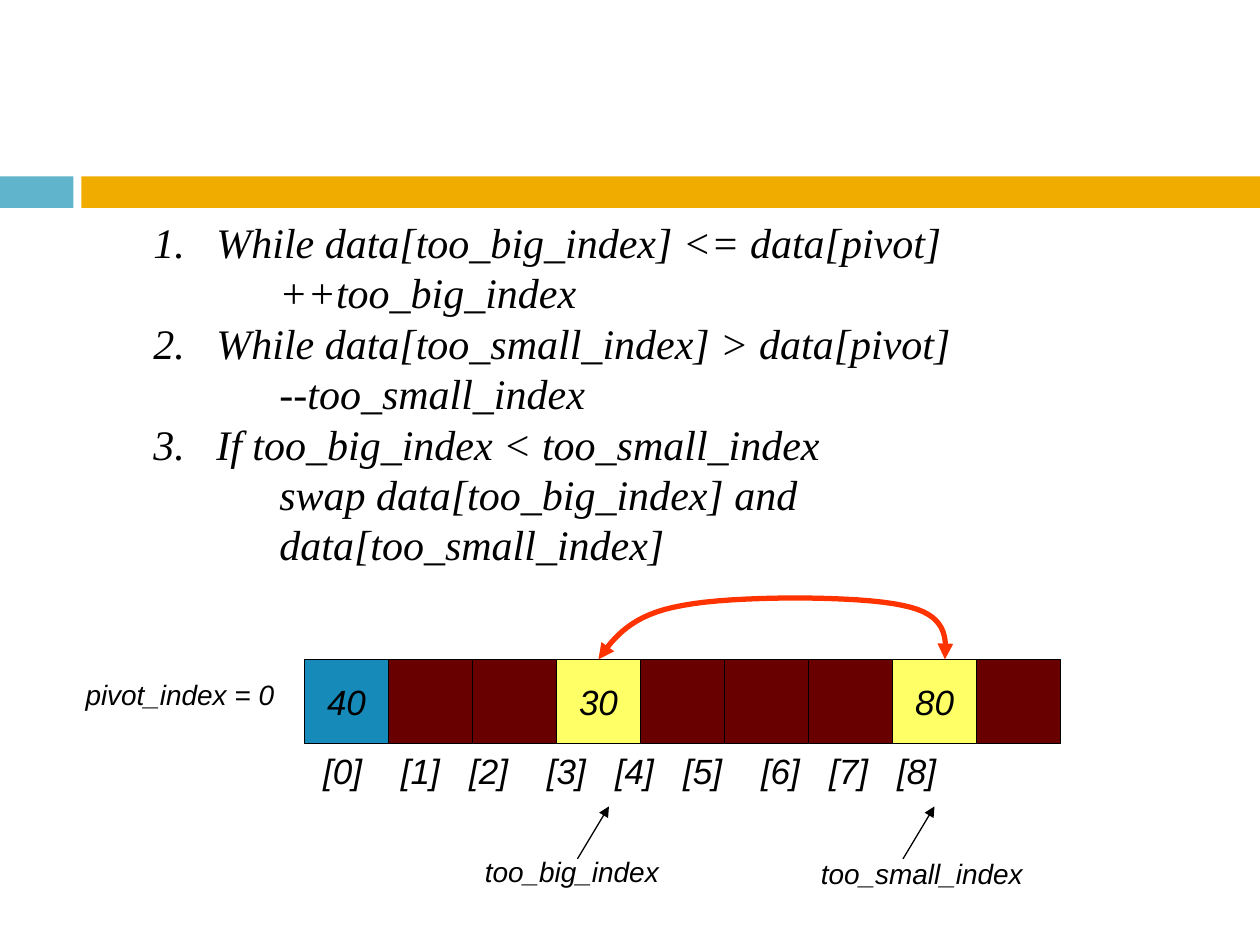
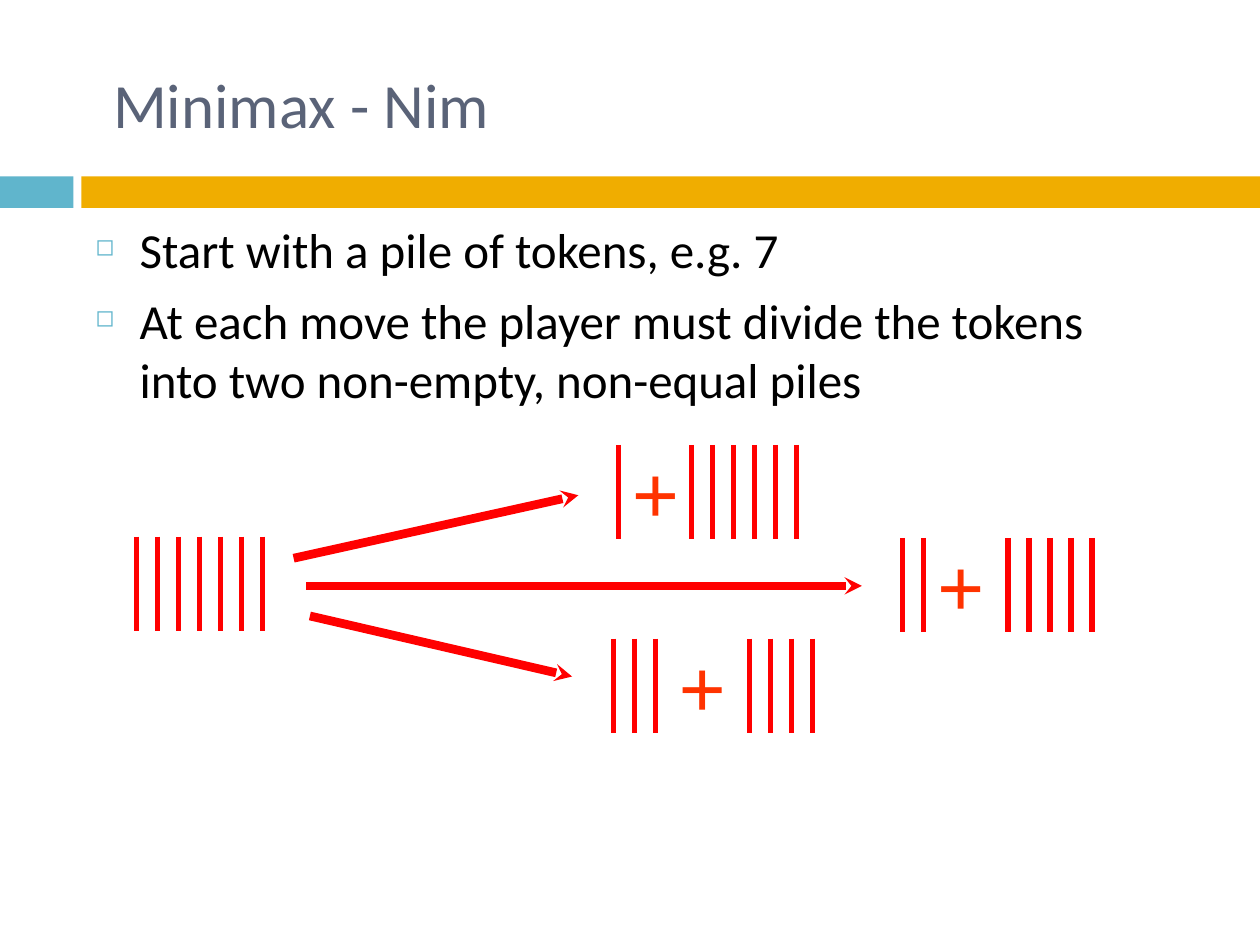
from itertools import accumulate

from lxml.etree import SubElement
from pptx import Presentation
from pptx.dml.color import RGBColor
from pptx.enum.shapes import MSO_CONNECTOR as Connector, MSO_SHAPE as Preset
from pptx.enum.text import MSO_ANCHOR as Anchor, PP_ALIGN as Align
from pptx.oxml.ns import qn
from pptx.util import Pt

BLACK = RGBColor(0x00, 0x00, 0x00)
TEAL = RGBColor(0x60, 0xB5, 0xCC)
GOLD = RGBColor(0xF0, 0xAD, 0x00)
SLATE = RGBColor(0x5A, 0x63, 0x78)
PIVOT_BLUE = RGBColor(0x16, 0x8B, 0xBA)
MAROON = RGBColor(0x68, 0x00, 0x00)
YELLOW = RGBColor(0xFF, 0xFF, 0x66)
RED = RGBColor(0xFF, 0x00, 0x00)
ORANGE_RED = RGBColor(0xFF, 0x33, 0x00)

SANS, SERIF, BODY = "Arial", "Times New Roman", "Calibri"
CELL = 48
BAR_HEIGHT, BAR_GAP = 54, 12


# Shared elements
def add_rectangle(slide, left, top, width, height, color):
    shape = slide.shapes.add_shape(
        Preset.RECTANGLE, Pt(left), Pt(top), Pt(width), Pt(height))
    shape.shadow.inherit = False
    shape.fill.solid()
    shape.fill.fore_color.rgb = color
    shape.line.fill.background()
    return shape


def add_base_slide(presentation):
    slide = presentation.slides.add_slide(presentation.slide_layouts[6])
    add_rectangle(slide, 0, 100.8, 42, 18, TEAL)
    add_rectangle(slide, 46.5, 100.8, 673.5, 18, GOLD)
    return slide


def format_font(paragraph, name, size, color=BLACK, italic=False, bold=False):
    for run in paragraph.runs:
        font = run.font
        font.name, font.size, font.italic, font.bold = name, Pt(size), italic, bold
        font.color.rgb = color


def add_text(slide, left, top, width, height, lines, name, size, **style):
    """Add a wrapping text box, one paragraph per line."""
    box = slide.shapes.add_textbox(Pt(left), Pt(top), Pt(width), Pt(height))
    frame = box.text_frame
    frame.word_wrap = True
    frame.text = "\n".join(lines)
    for paragraph in frame.paragraphs:
        format_font(paragraph, name, size, **style)
    return frame


def set_indent(paragraph, margin, first_line=0):
    properties = paragraph._p.get_or_add_pPr()
    properties.set("marL", str(Pt(margin)))
    properties.set("indent", str(Pt(first_line)))
    return properties


def add_arrowhead(line, end, kind, size="med"):
    SubElement(line._get_or_add_ln(), qn(f"a:{end}"), type=kind, w=size, len=size)


def add_line(slide, start, end, color, width):
    connector = slide.shapes.add_connector(
        Connector.STRAIGHT, *(Pt(value) for value in (*start, *end)))
    connector.line.color.rgb = color
    connector.line.width = Pt(width)
    SubElement(connector._element.spPr, qn("a:effectLst"))
    return connector


# Partition slide
def add_steps(slide, steps):
    lines = [line for step in steps for line in step]
    frame = add_text(slide, 80.6, 120.2, 576, 266, lines, SERIF, 24, italic=True)
    for index, paragraph in enumerate(frame.paragraphs):
        if index % 2:
            paragraph.level = 1
            SubElement(set_indent(paragraph, 72), qn("a:buNone"))
        else:
            SubElement(set_indent(paragraph, 36, -36), qn("a:buAutoNum"),
                       type="arabicPeriod", startAt=str(index // 2 + 1))


def add_array(slide, left, top, count, marked):
    """Draw a row of cells; marked maps an index to its value and fill."""
    for index in range(count):
        value, fill = marked.get(index, (None, MAROON))
        cell = add_rectangle(slide, left + index * CELL, top, CELL, CELL, fill)
        cell.line.color.rgb = BLACK
        cell.line.width = Pt(0.75)
        if value is not None:
            frame = cell.text_frame
            frame.word_wrap = False
            frame.vertical_anchor = Anchor.MIDDLE
            frame.text = str(value)
            frame.paragraphs[0].alignment = Align.CENTER
            format_font(frame.paragraphs[0], SANS, 20, italic=True)


def add_index_row(slide, left, top, gaps):
    """Place the index labels on tab stops, with gaps counted in spaces."""
    label_width, space = 22.24, 5.56
    labels = "\t".join(f"[{index}]" for index in range(len(gaps) + 1))
    frame = add_text(slide, left, top, 432, 31.5, [labels], SANS, 20, italic=True)
    tabs = SubElement(frame.paragraphs[0]._p.get_or_add_pPr(), qn("a:tabLst"))
    for stop in accumulate(label_width + gap * space for gap in gaps):
        SubElement(tabs, qn("a:tab"), pos=str(Pt(stop)), algn="l")


def bezier_points(start, control1, control2, end, steps=16):
    for step in range(1, steps + 1):
        t = step / steps
        yield tuple(
            Pt((1 - t) ** 3 * a + 3 * (1 - t) ** 2 * t * b
               + 3 * (1 - t) * t ** 2 * c + t ** 3 * d)
            for a, b, c, d in zip(start, control1, control2, end))


def add_swap_arrow(slide, start, curves):
    builder = slide.shapes.build_freeform(Pt(start[0]), Pt(start[1]))
    for curve in curves:
        builder.add_line_segments(list(bezier_points(start, *curve)), close=False)
        start = curve[-1]
    shape = builder.convert_to_shape()
    shape.shadow.inherit = False
    shape.fill.background()
    shape.line.color.rgb = ORANGE_RED
    shape.line.width = Pt(3)
    for end in ("headEnd", "tailEnd"):
        add_arrowhead(shape.line, end, "triangle")


def build_partition_slide(presentation):
    slide = add_base_slide(presentation)
    add_array(slide, 174, 376.8, 9,
              {0: (40, PIVOT_BLUE), 3: (30, YELLOW), 7: (80, YELLOW)})
    add_index_row(slide, 177.6, 424.8, [4, 3, 4, 3, 3, 4, 3, 3])

    # Variable labels and their pointers
    for text, left, top, width in (("pivot_index = 0", 41.8, 383.8, 130),
                                   ("too_big_index", 270, 484.8, 228),
                                   ("too_small_index", 462, 486, 168)):
        add_text(slide, left, top, width, 26.6, [text], SANS, 16, italic=True)
    for left in (330, 516):
        pointer = add_line(slide, (left, 490.8), (left + 18, 460.8), BLACK, 0.75)
        add_arrowhead(pointer.line, "tailEnd", "triangle")

    add_steps(slide, [
        ("While data[too_big_index] <= data[pivot]", "++too_big_index"),
        ("While data[too_small_index] > data[pivot]", "--too_small_index"),
        ("If too_big_index < too_small_index",
         "swap data[too_big_index] and data[too_small_index]"),
    ])
    add_swap_arrow(slide, (342, 376.8), [
        ((351, 364), (361, 351), (390, 346)),
        ((419, 340.3), (491, 340.3), (516, 346)),
        ((541, 351), (541, 364), (540, 376.8)),
    ])


# Nim slide
def add_pile(slide, left, top, count):
    for index in range(count):
        x = left + index * BAR_GAP
        add_line(slide, (x, top), (x, top + BAR_HEIGHT), RED, 3)


def add_split(slide, top, first, plus_left, second):
    """Draw two piles, each given as (left, count), with a plus between."""
    add_pile(slide, first[0], top, first[1])
    add_text(slide, plus_left, top - 5.8, 42, 65, ["+"], SERIF, 48,
             color=ORANGE_RED, italic=True, bold=True)
    add_pile(slide, second[0], top, second[1])


def add_bullets(slide, lines):
    frame = add_text(slide, 47.5, 121.7, 629.3, 134, lines, BODY, 28)
    for index, paragraph in enumerate(frame.paragraphs):
        if index:
            paragraph.space_before = Pt(7)
        properties = set_indent(paragraph, 25.2, -25.2)
        color = SubElement(properties, qn("a:buClr"))
        SubElement(color, qn("a:srgbClr"), val=str(TEAL))
        SubElement(properties, qn("a:buSzPct"), val="48000")
        SubElement(properties, qn("a:buChar"), char="◻")


def build_nim_slide(presentation):
    slide = add_base_slide(presentation)
    title = add_text(slide, 57.6, 26.6, 612, 64.8, ["Minimax - Nim"],
                     BODY, 36, color=SLATE)
    title.vertical_anchor = Anchor.MIDDLE
    title.paragraphs[0].space_after = Pt(3)
    add_bullets(slide, [
        "Start with a pile of tokens, e.g. 7",
        "At each move the player must divide the tokens "
        "into two non-empty, non-equal piles",
    ])

    # Starting pile and the three possible moves
    add_pile(slide, 78, 306.7, 7)
    for start, end in (((167.8, 319), (330.5, 283)),
                       ((175, 334.8), (492.5, 334.8)),
                       ((177.1, 352), (326.9, 386.6))):
        move = add_line(slide, start, end, RED, 5)
        add_arrowhead(move.line, "tailEnd", "stealth", "sm")
    add_split(slide, 254.2, (353.5, 1), 353.5, (395.3, 6))
    add_split(slide, 307.4, (515.8, 2), 527.8, (576, 5))
    add_split(slide, 365, (350.4, 3), 380.2, (428.4, 4))


def main():
    presentation = Presentation()
    presentation.slide_width, presentation.slide_height = Pt(720), Pt(540)
    build_partition_slide(presentation)
    build_nim_slide(presentation)
    presentation.save("out.pptx")


if __name__ == "__main__":
    main()
